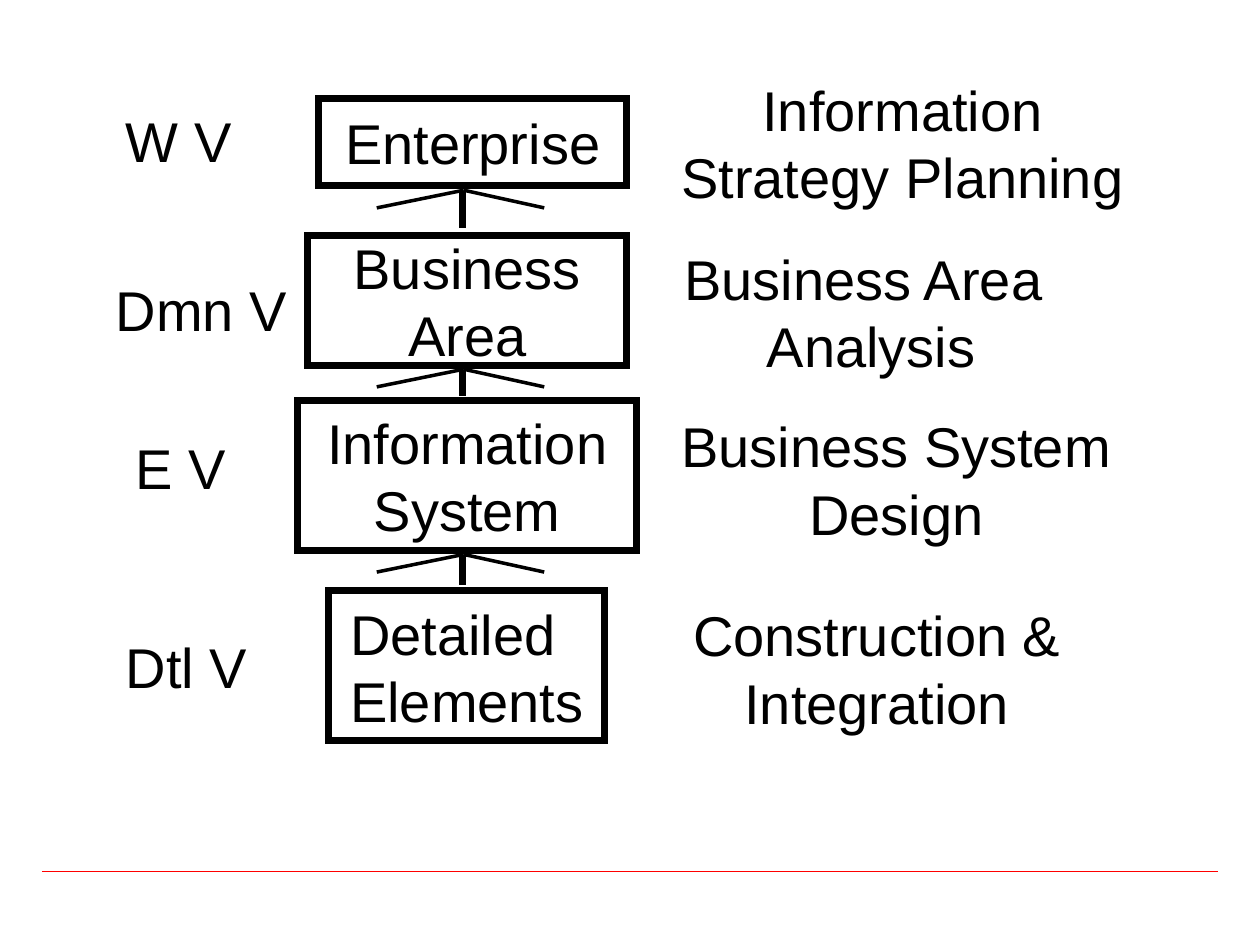
"""Build a slide of four planning levels with their views and phases."""
import pptx
import pptx.util
import pptx.dml.color
import pptx.enum.shapes
import pptx.enum.text
import lxml.etree

Pt = pptx.util.Pt
ALIGN = pptx.enum.text.PP_ALIGN
STRAIGHT = pptx.enum.shapes.MSO_CONNECTOR.STRAIGHT
RECTANGLE = pptx.enum.shapes.MSO_SHAPE.RECTANGLE
BLACK = pptx.dml.color.RGBColor(0x00, 0x00, 0x00)
RED = pptx.dml.color.RGBColor(0xFF, 0x00, 0x00)
DRAWING = "http://schemas.openxmlformats.org/drawingml/2006/main"

PHASES = [
    ("Information\nStrategy Planning", 382.3, 39.6, 267.1),
    ("Business Area \nAnalysis", 383, 136.1, 229.7),
    ("Business System\nDesign", 382.3, 231.8, 259.9),
    ("Construction &\nIntegration", 388.8, 339.8, 224.6),
]
LEVELS = [
    (("Enterprise", 190.1, 58.3, 160.6), ALIGN.LEFT, (182.2, 56.2, 175.7, 49.7)),
    (("Business\nArea", 195.1, 129.6, 144), ALIGN.CENTER, (175.7, 134.6, 182.2, 74.2)),
    (("Information\nSystem", 180, 229.7, 174.2), ALIGN.CENTER, (169.9, 229, 193.7, 85.7)),
    (("Detailed\nElements", 193, 339.1, 147.6), ALIGN.LEFT, (187.9, 337.7, 157.7, 85.7)),
]
VIEWS = [
    ("W V", 64.8, 57.6, 74.9),
    ("Dmn V", 59, 154.1, 112.3),
    ("E V", 70.6, 244.1, 66.2),
    ("Dtl V", 64.8, 357.8, 83.5),
]
ARROWS = [(108.7, 130.3), (211, 226.1), (316.8, 334.1)]
TIP_X, STEM_X, BARB_DROP = 265, 264.2, 10.1
BARB_ENDS = (311, 215.3)
LINE_HEIGHT, PADDING, SLACK = 38.2, 7.2, 6

LABEL_FONT = {"name": "Arial", "size": Pt(32)}
LABEL_FRAME = {
    "word_wrap": True,
    "auto_size": pptx.enum.text.MSO_AUTO_SIZE.NONE,
    "margin_left": Pt(7.2),
    "margin_right": Pt(7.2),
    "margin_top": Pt(3.6),
    "margin_bottom": Pt(3.6),
}


def apply_format(target, values):
    for key, value in values.items():
        setattr(target, key, value)


def add_label(slide, wording, left, top, width, align):
    height = PADDING + LINE_HEIGHT * len(wording.split("\n"))
    if align == ALIGN.CENTER:
        left -= SLACK / 2
    label = slide.shapes.add_textbox(Pt(left), Pt(top), Pt(width + SLACK), Pt(height))
    apply_format(label.text_frame, LABEL_FRAME)
    paragraph = label.text_frame.paragraphs[0]
    paragraph.text = wording.replace("\n", "\v")
    paragraph.alignment = align
    for run in paragraph.runs:
        apply_format(run.font, LABEL_FONT)
        run.font.color.rgb = BLACK


def add_frame(slide, bounds):
    frame = slide.shapes.add_shape(RECTANGLE, *map(Pt, bounds))
    frame.shadow.inherit = False
    frame.fill.background()
    frame.line.color.rgb = BLACK
    frame.line.width = Pt(4)
    outline = frame.element.find(".//{*}spPr/{*}ln")
    lxml.etree.SubElement(outline, "{%s}miter" % DRAWING, lim="800000")


def add_line(slide, start, end, weight, color=BLACK):
    line = slide.shapes.add_connector(STRAIGHT, *map(Pt, start + end))
    line.line.color.rgb = color
    line.line.width = Pt(weight)
    properties = line.element.find(".//{*}spPr")
    lxml.etree.SubElement(properties, "{%s}effectLst" % DRAWING)


def main():
    deck = pptx.Presentation()
    apply_format(deck, {"slide_width": Pt(720), "slide_height": Pt(540)})
    slide = deck.slides.add_slide(deck.slide_layouts[6])

    add_line(slide, (24, 498), (696, 498), 0.75, RED)
    for phase in PHASES:
        add_label(slide, *phase, ALIGN.CENTER)
    for level, align, bounds in LEVELS:
        add_label(slide, *level, align)
        add_frame(slide, bounds)
    for tip_y, stem_end in ARROWS:
        add_line(slide, (STEM_X, tip_y + 1), (STEM_X, stem_end), 4)
        for barb_x in BARB_ENDS:
            add_line(slide, (TIP_X, tip_y), (barb_x, tip_y + BARB_DROP), 2)
    for view in VIEWS:
        add_label(slide, *view, ALIGN.LEFT)

    deck.save("out.pptx")


if __name__ == "__main__":
    main()
